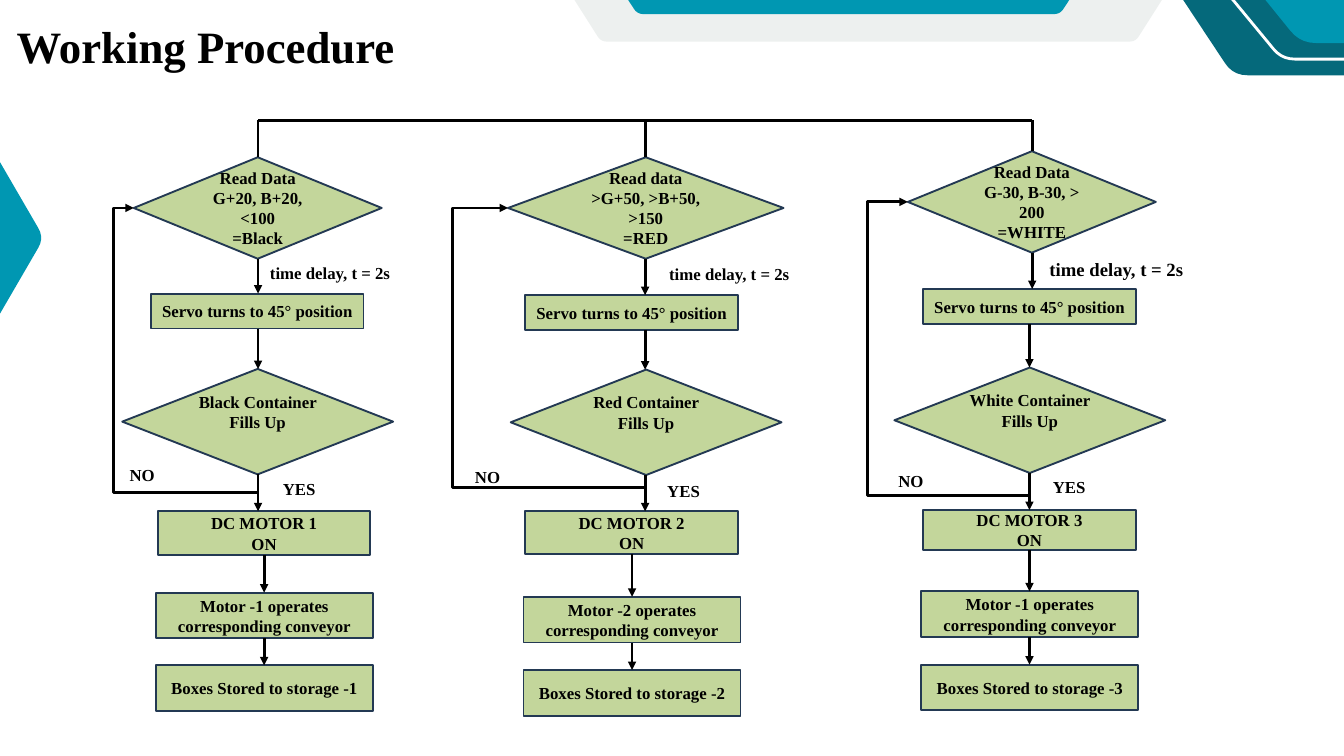
"""Builds the Working Procedure slide: three colour-sorting flows side by side."""
from lxml import etree
from pptx import Presentation
from pptx.dml.color import RGBColor
from pptx.enum.shapes import MSO_CONNECTOR, MSO_SHAPE
from pptx.enum.text import MSO_ANCHOR, PP_ALIGN
from pptx.oxml.ns import qn
from pptx.util import Pt

STRAIGHT, ELBOW = MSO_CONNECTOR.STRAIGHT, MSO_CONNECTOR.ELBOW
DIAMOND, RECTANGLE = MSO_SHAPE.DIAMOND, MSO_SHAPE.RECTANGLE
MIDDLE, TOP = MSO_ANCHOR.MIDDLE, MSO_ANCHOR.TOP
CENTER, LEFT = PP_ALIGN.CENTER, PP_ALIGN.LEFT

FONT = "Times New Roman"
COLORS = {"ink": "000000", "box": "C3D69B", "edge": "233953", "white": "FFFFFF",
          "mist": "EDF0EF", "teal": "0097B2", "deep": "05697B"}

# center x, center y, half width, half flat side, half height, corner, fill, line
HEXAGONS = [
    (930.25, -71.3, 360, 286.3, 115.9, 6.5, "mist", None),
    (909.35, -57.25, 273.8, 226.4, 72.35, 6.5, "teal", None),
    (1467.35, -210.6, 339.1, 146.2, 291.25, 15.5, "deep", None),
    (1469.5, -99, 193.7, 76.3, 145.1, 17, "teal", None),
    (1471.3, -61.55, 200.9, 97.9, 124.9, 14, None, "white"),
    (-129.25, 254.9, 176.4, 119.5, 97.9, 12, "teal", None),
]

# Each step: left, top, width, height, paragraphs
FLOWS = [
    {"steps": [(143.3, 168.5, 265.7, 108.7, ["Read Data", "G+20, B+20, <100", "=Black"]),
               (162, 314.6, 227.5, 37.4, ["Servo turns to 45° position"]),
               (131, 395.3, 290.2, 113, ["Black Container Fills Up"]),
               (169.2, 547.9, 227.5, 46.8, ["DC MOTOR 1", "ON"]),
               (167, 635, 232.6, 49, ["Motor -1 operates corresponding conveyor"]),
               (167, 712.8, 232.6, 49, ["Boxes Stored to storage -1"])],
     "spine": [276.5, 276.5, 276.5, 283, 283],
     "loop": (121.7, 527.8),
     "labels": [("time delay, t = 2s", 282.2, 277.9, 18),
                ("YES", 295.9, 509.8, 18), ("NO", 131.8, 494.6, 18)]},
    {"steps": [(544.3, 168.5, 295.2, 108.7, ["Read data", ">G+50, >B+50, >150", "=RED"]),
               (563, 316.1, 227.5, 37.4, ["Servo turns to 45° position"]),
               (547.2, 396, 290.2, 113, ["Red Container Fills Up"]),
               (563, 547.9, 227.5, 45.4, ["DC MOTOR 2", "ON"]),
               (560.9, 639.4, 232.6, 49, ["Motor -2 operates corresponding conveyor"]),
               (560.9, 717.8, 232.6, 49, ["Boxes Stored to storage -2"])],
     "spine": [691.2, 691.2, 691.2, 677.2, 677.2],
     "loop": (484.6, 522.7),
     "labels": [("time delay, t = 2s", 709.9, 278.6, 18),
                ("YES", 707.8, 511.2, 18), ("NO", 501.8, 496.1, 18)]},
    {"steps": [(972.7, 162, 265.7, 108.7, ["Read Data", "G-30, B-30, > 200", "=WHITE"]),
               (989.3, 309.6, 227.5, 37.4, ["Servo turns to 45° position"]),
               (958.3, 393.8, 290.2, 113, ["White Container Fills Up"]),
               (989.3, 546.5, 227.5, 43.2, ["DC MOTOR 3", "ON"]),
               (987.1, 633.6, 232.6, 49, ["Motor -1 operates corresponding conveyor"]),
               (987.1, 712.1, 232.6, 49, ["Boxes Stored to storage -3"])],
     "spine": [1105.9, 1103, 1103, 1103, 1103],
     "loop": (929.5, 530.6),
     "labels": [("time delay, t = 2s", 1117.4, 272.2, 20),
                ("YES", 1121, 507.6, 18), ("NO", 955.4, 500.4, 18)]},
]
BAR_TOP = 129
FILLS_UP = 2
LABEL_WIDTHS = {"time delay, t = 2s": 205, "YES": 85.7, "NO": 96.5}


def color(name):
    return RGBColor.from_string(COLORS[name])


def write(shape, lines, size, align, anchor):
    frame = shape.text_frame
    frame.word_wrap = True
    frame.vertical_anchor = anchor
    for index, line in enumerate(lines):
        para = frame.paragraphs[0] if index == 0 else frame.add_paragraph()
        para.text = line
        para.alignment = align
        para.font.name, para.font.size, para.font.bold = FONT, Pt(size), True
        para.font.color.rgb = color("ink")


def paint(shape, fill, line, weight):
    shape.shadow.inherit = False
    if fill:
        shape.fill.solid()
        shape.fill.fore_color.rgb = color(fill)
    else:
        shape.fill.background()
    if line:
        shape.line.color.rgb = color(line)
        shape.line.width = Pt(weight)
    else:
        shape.line.fill.background()


def toward(start, end, distance):
    dx, dy = end[0] - start[0], end[1] - start[1]
    share = distance / (dx * dx + dy * dy) ** 0.5
    return start[0] + dx * share, start[1] + dy * share


def add_hexagon(page, cx, cy, half, flat, tall, corner, fill, line):
    tips = [(half, 0), (flat, tall), (-flat, tall), (-half, 0), (-flat, -tall), (flat, -tall)]
    points = []
    for index, tip in enumerate(tips):
        begin = toward(tip, tips[index - 1], corner)
        end = toward(tip, tips[(index + 1) % len(tips)], corner)
        for t in (0, 0.2, 0.4, 0.6, 0.8, 1):
            x, y = ((1 - t) ** 2 * b + 2 * t * (1 - t) * v + t * t * e
                    for b, v, e in zip(begin, tip, end))
            points.append((Pt(cx + x), Pt(cy + y)))
    builder = page.shapes.build_freeform(*points[0], scale=1.0)
    builder.add_line_segments(points[1:], close=True)
    paint(builder.convert_to_shape(), fill, line, 3)


def add_line(page, kind, x1, y1, x2, y2, arrow=False):
    line = page.shapes.add_connector(kind, Pt(x1), Pt(y1), Pt(x2), Pt(y2))
    line.line.color.rgb = color("ink")
    line.line.width = Pt(3)
    properties = line._element.spPr
    if arrow:
        etree.SubElement(properties.find(qn("a:ln")), qn("a:tailEnd"), type="triangle")
    etree.SubElement(properties, qn("a:effectLst"))
    return line


def add_loop(page, start_x, start_y, side_x, end_x, end_y):
    loop = add_line(page, ELBOW, start_x, start_y, end_x, end_y, arrow=True)
    geometry = loop._element.spPr.find(qn("a:prstGeom"))
    guides = geometry.find(qn("a:avLst"))
    if guides is None:
        guides = etree.SubElement(geometry, qn("a:avLst"))
    bend = round((start_x - side_x) / (start_x - end_x) * 100000)
    etree.SubElement(guides, qn("a:gd"), name="adj1", fmla=f"val {bend}")


def add_label(page, text, left, top, width, height, size):
    box = page.shapes.add_textbox(Pt(left), Pt(top), Pt(width), Pt(height))
    write(box, [text], size, LEFT, TOP)


def add_flow(page, flow):
    steps, spine = flow["steps"], flow["spine"]
    for index, (left, top, width, height, lines) in enumerate(steps):
        kind = DIAMOND if index in (0, FILLS_UP) else RECTANGLE
        box = page.shapes.add_shape(kind, Pt(left), Pt(top), Pt(width), Pt(height))
        paint(box, "box", "edge", 2)
        write(box, lines, 18, CENTER, MIDDLE)
        if index == FILLS_UP:
            box.text_frame.margin_bottom = Pt(25)
    for x, upper, lower in zip(spine, steps, steps[1:]):
        add_line(page, STRAIGHT, x, upper[1] + upper[3], x, lower[1], arrow=True)
    left, top, _, height, _ = steps[0]
    add_line(page, STRAIGHT, spine[0], BAR_TOP, spine[0], top)
    side_x, start_y = flow["loop"]
    add_loop(page, spine[FILLS_UP], start_y, side_x, left, top + height / 2)
    for text, x, y, size in flow["labels"]:
        add_label(page, text, x, y, LABEL_WIDTHS[text], 33, size)


def main():
    deck = Presentation()
    deck.slide_width, deck.slide_height = Pt(1440), Pt(810)
    page = deck.slides.add_slide(deck.slide_layouts[6])
    for hexagon in HEXAGONS:
        add_hexagon(page, *hexagon)
    add_label(page, "Working Procedure", 10.8, 16.6, 459.4, 65.5, 48)
    add_line(page, STRAIGHT, FLOWS[0]["spine"][0], BAR_TOP, FLOWS[-1]["spine"][0], BAR_TOP)
    for flow in FLOWS:
        add_flow(page, flow)
    deck.save("out.pptx")


if __name__ == "__main__":
    main()
